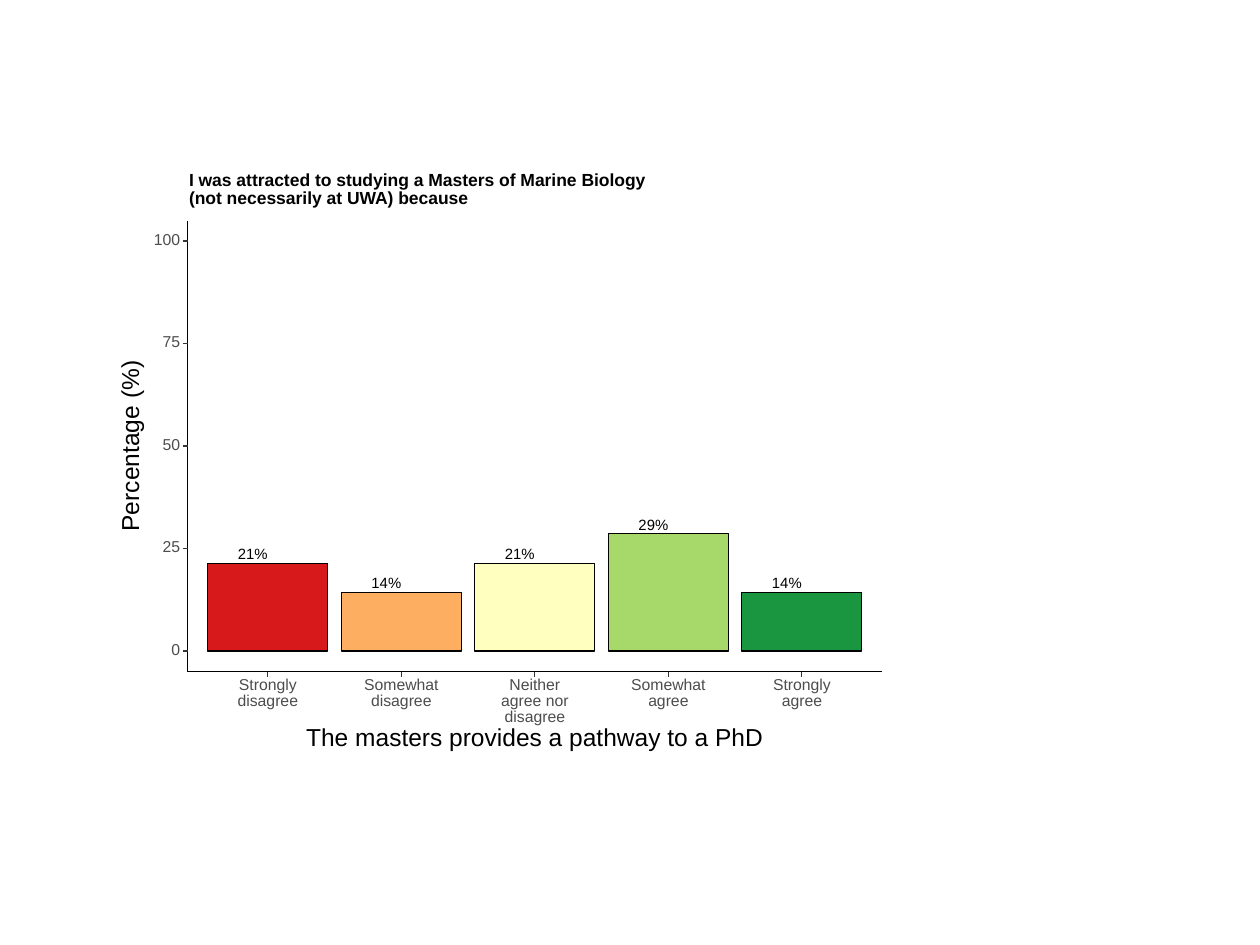
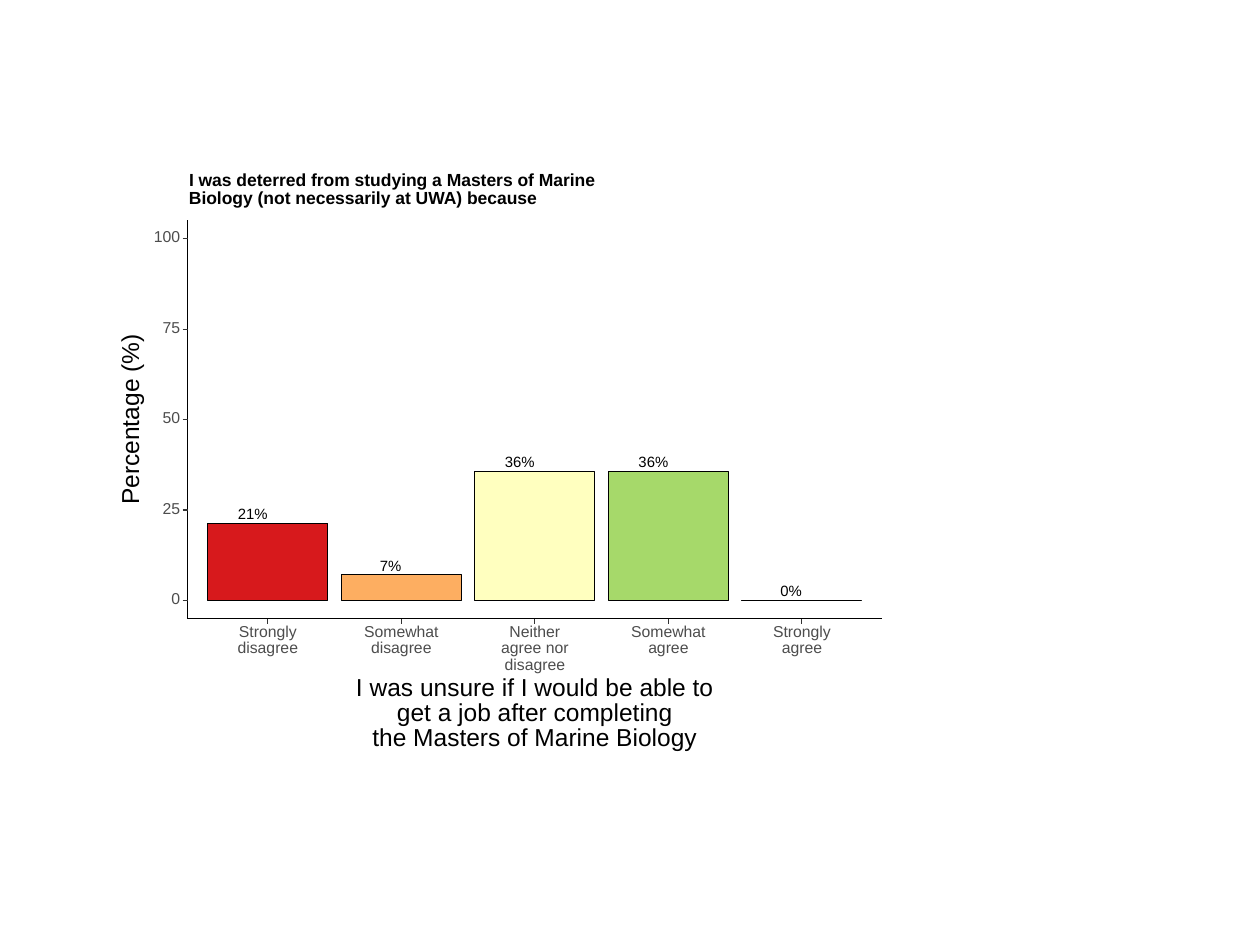
from lxml.etree import SubElement
from pptx import Presentation
from pptx.dml.color import RGBColor
from pptx.enum.shapes import MSO_CONNECTOR as CONNECTOR, MSO_SHAPE as SHAPE
from pptx.enum.text import MSO_ANCHOR as ANCHOR, PP_ALIGN as ALIGN
from pptx.oxml.ns import qn
from pptx.util import Inches, Pt

FONT = "Arial"
BLACK, WHITE, TICK_GREY, LABEL_GREY = "000000", "FFFFFF", "333333", "4D4D4D"
BAR_COLOURS = ["D7191C", "FDAE61", "FFFFBF", "A6D96A", "1A9641"]
CATEGORIES = [["Strongly", "disagree"], ["Somewhat", "disagree"],
              ["Neither", "agree nor", "disagree"],
              ["Somewhat", "agree"], ["Strongly", "agree"]]
WORD_WIDTHS = {"Strongly": 0.46, "Somewhat": 0.59, "Neither": 0.4,
               "agree nor": 0.54, "disagree": 0.48, "agree": 0.32}
LINE_WIDTH = 0.64
TEXT_SLACK = 0.06
SLACK_BEFORE = {ALIGN.LEFT: 0, ALIGN.CENTER: 0.5, ALIGN.RIGHT: 1}
PLOT_LEFT, PLOT_TOP, PLOT_WIDTH = 1.49, 1.75, 5.51
PLOT_RIGHT = PLOT_LEFT + PLOT_WIDTH
PLOT_CENTRE = PLOT_LEFT + PLOT_WIDTH / 2
CATEGORY_STEP = PLOT_WIDTH / 5.2
BAR_WIDTH = 0.9 * CATEGORY_STEP
AXIS_MIN, AXIS_MAX = -5, 105
TICK = 0.04
LEFT, BOTTOM = 1, 2

SURVEYS = [
    {"title": [("I was attracted to studying a Masters of Marine Biology", 3.63),
               ("(not necessarily at UWA) because", 2.23)],
     "statement": [("The masters provides a pathway to a PhD", 3.62)],
     "values": [21.4, 14.3, 21.4, 28.6, 14.3],
     "plot_height": 3.58},
    {"title": [("I was deterred from studying a Masters of Marine", 3.23),
               ("Biology (not necessarily at UWA) because", 2.78)],
     "statement": [("I was unsure if I would be able to", 2.83),
                   ("get a job after completing", 2.18),
                   ("the Masters of Marine Biology", 2.57)],
     "values": [21.4, 7.1, 35.7, 35.7, 0],
     "plot_height": 3.16},
]


def colour(code):
    """Turn a hex string into a colour."""
    return RGBColor.from_string(code)


def add_rectangle(shapes, left, top, width, height, fill, outline=None, weight=LINE_WIDTH):
    """Add a filled rectangle with an optional outline."""
    box = shapes.add_shape(SHAPE.RECTANGLE, Inches(left), Inches(top),
                           Inches(width), Inches(height))
    box.shadow.inherit = False
    box.fill.solid()
    box.fill.fore_color.rgb = colour(fill)
    if outline:
        box.line.color.rgb = colour(outline)
        box.line.width = Pt(weight)
    else:
        box.line.fill.background()
    return box


def add_line(shapes, start, end, stroke=BLACK):
    """Add a thin straight line between two points."""
    line = shapes.add_connector(CONNECTOR.STRAIGHT, *map(Inches, start + end))
    line.line.color.rgb = colour(stroke)
    line.line.width = Pt(LINE_WIDTH)
    SubElement(line._element.spPr, qn("a:effectLst"))
    return line


def add_text(shapes, text, left, top, width, height, size=9, ink=BLACK,
             bold=False, align=ALIGN.CENTER, rotation=0):
    """Add one line of text in a box slightly wider than its words."""
    left -= TEXT_SLACK * SLACK_BEFORE[align]
    box = shapes.add_textbox(Inches(left), Inches(top),
                             Inches(width + TEXT_SLACK), Inches(height))
    box.rotation = rotation
    frame = box.text_frame
    frame.word_wrap = False
    frame.vertical_anchor = ANCHOR.MIDDLE
    frame.margin_left = frame.margin_right = frame.margin_top = frame.margin_bottom = 0
    para = frame.paragraphs[0]
    para.alignment = align
    para.line_spacing = Pt(size)
    span = para.add_run()
    span.text = text
    span.font.name = FONT
    span.font.size = Pt(size)
    span.font.bold = bold
    span.font.color.rgb = colour(ink)


def category_centre(index):
    """Give the horizontal centre of a category."""
    return PLOT_LEFT + (index + 0.6) * CATEGORY_STEP


def value_height(value, plot_height):
    """Give the vertical place of a percentage."""
    return PLOT_TOP + plot_height * (AXIS_MAX - value) / (AXIS_MAX - AXIS_MIN)


def add_bars(shapes, values, plot_height):
    """Add the coloured bars and the percentages above them."""
    zero = value_height(0, plot_height)
    tops = [value_height(value, plot_height) for value in values]
    for index, (top, fill) in enumerate(zip(tops, BAR_COLOURS)):
        add_rectangle(shapes, category_centre(index) - BAR_WIDTH / 2, top,
                      BAR_WIDTH, zero - top, fill, BLACK)
    for index, (top, value) in enumerate(zip(tops, values)):
        label = f"{value:.0f}%"
        width = 0.07 * len(label) + 0.03
        add_text(shapes, label, category_centre(index) - width, top - 0.11,
                 width, 0.09, size=8.5, align=ALIGN.RIGHT)


def add_value_axis(shapes, panel, plot_height):
    """Add the vertical axis with its ticks, numbers and title."""
    add_line(shapes, (PLOT_LEFT, PLOT_TOP + plot_height), (PLOT_LEFT, PLOT_TOP))
    for value in range(0, 101, 25):
        y = value_height(value, plot_height)
        width = 0.07 * len(str(value))
        add_text(shapes, str(value), 1.43 - width, y - 0.05, width, 0.09,
                 ink=LABEL_GREY, align=ALIGN.RIGHT)
        tick = add_line(shapes, (PLOT_LEFT - TICK, y), (PLOT_LEFT, y), TICK_GREY)
        if value == 50:
            tick.end_connect(panel, LEFT)
    add_text(shapes, "Percentage (%)", 0.37, PLOT_TOP + plot_height / 2 - 0.09,
             1.35, 0.18, size=14, rotation=270)


def add_category_axis(shapes, panel, bottom):
    """Add the horizontal axis with its ticks and category names."""
    add_line(shapes, (PLOT_LEFT, bottom), (PLOT_RIGHT, bottom))
    for index, words in enumerate(CATEGORIES):
        centre = category_centre(index)
        tick = add_line(shapes, (centre, bottom + TICK), (centre, bottom), TICK_GREY)
        if index == len(CATEGORIES) // 2:
            tick.end_connect(panel, BOTTOM)
        for row, word in enumerate(words):
            width = WORD_WIDTHS[word]
            add_text(shapes, word, centre - width / 2, bottom + 0.05 + 0.13 * row,
                     width, 0.12, ink=LABEL_GREY)


def add_headings(shapes, title, statement):
    """Add the bold title above the plot and the statement below it."""
    for row, (text, width) in enumerate(statement):
        top = 5.78 - 0.2 * (len(statement) - 1 - row)
        add_text(shapes, text, PLOT_CENTRE - width / 2, top, width, 0.18, size=14)
    for row, (text, width) in enumerate(title):
        add_text(shapes, text, 1.5, 1.37 + 0.15 * row, width, 0.13,
                 size=10, bold=True, align=ALIGN.LEFT)


def add_survey(page, title, statement, values, plot_height):
    """Draw one survey question as a grouped bar plot."""
    shapes = page.shapes.add_group_shape().shapes
    add_rectangle(shapes, 1, 1, 6, 5, WHITE, WHITE, weight=1.07)
    panel = add_rectangle(shapes, PLOT_LEFT, PLOT_TOP, PLOT_WIDTH, plot_height, WHITE)
    add_bars(shapes, values, plot_height)
    add_value_axis(shapes, panel, plot_height)
    add_category_axis(shapes, panel, PLOT_TOP + plot_height)
    add_headings(shapes, title, statement)


def main():
    """Build the deck of survey plots."""
    deck = Presentation()
    deck.slide_width, deck.slide_height = Inches(10), Inches(7.5)
    for survey in SURVEYS:
        page = deck.slides.add_slide(deck.slide_layouts[6])
        add_survey(page, **survey)
    deck.save("out.pptx")


if __name__ == "__main__":
    main()
